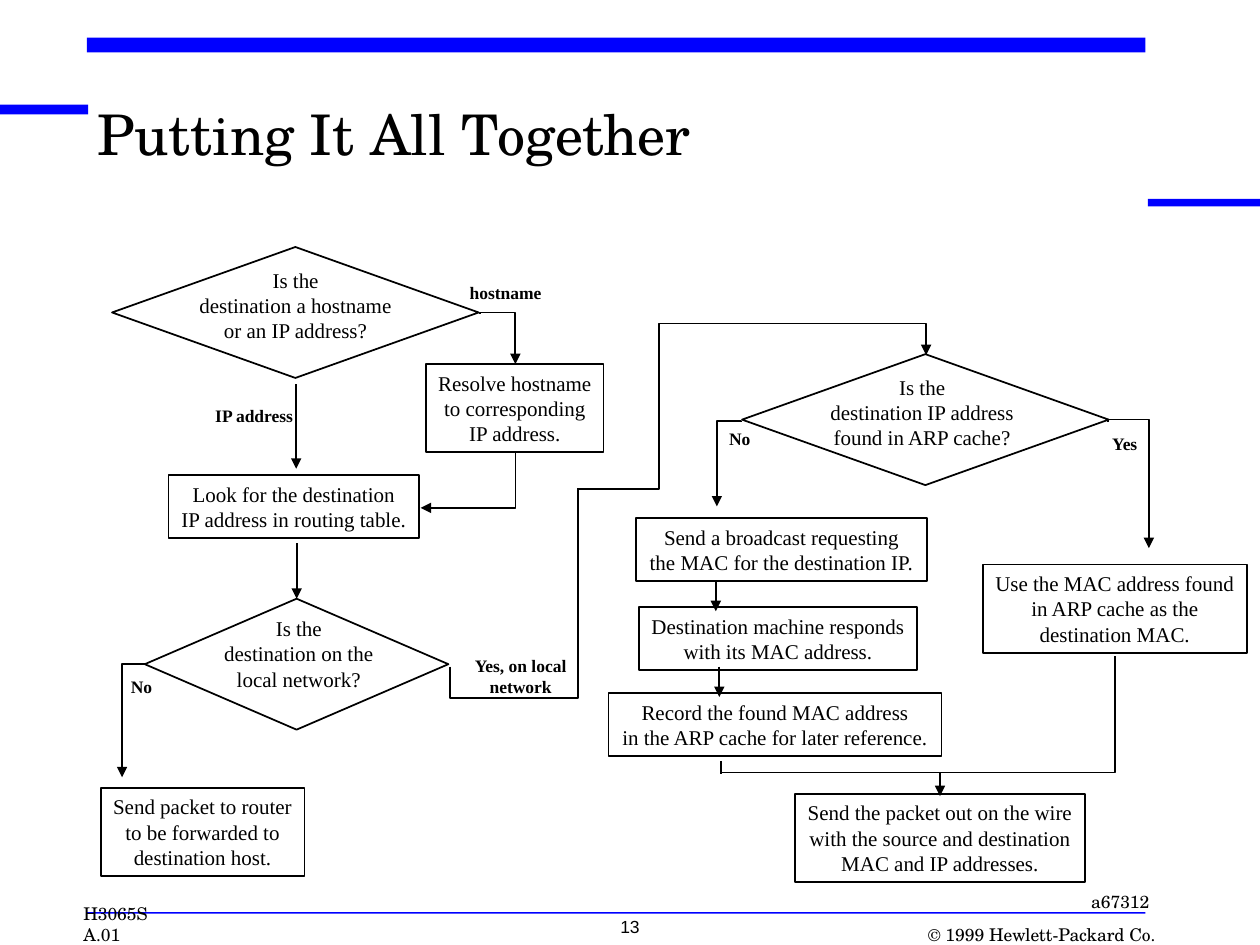
from dataclasses import dataclass

from lxml.etree import SubElement
from pptx import Presentation
from pptx.dml.color import RGBColor
from pptx.enum.shapes import MSO_CONNECTOR as Link, MSO_SHAPE as Kind
from pptx.enum.text import MSO_ANCHOR as Anchor, MSO_AUTO_SIZE as Fit, PP_ALIGN as Align
from pptx.oxml.ns import qn
from pptx.util import Cm, Pt


@dataclass(frozen=True)
class Theme:
    ink: RGBColor = RGBColor(0, 0, 0)
    bar: RGBColor = RGBColor(0, 0, 255)
    serif: str = "Times New Roman"
    school: str = "TeX Gyre Schola"
    sans: str = "Arial"
    head: int = 32
    body: int = 12
    small: int = 10
    line: int = 1


THEME = Theme()

BARS = [
    (0, 2.11, 1.78, 0.2),
    (1.75, 0.76, 21.34, 0.3),
    (23.14, 4.01, 2.26, 0.15),
    (1.75, 18.39, 21.34, 0.03),
]

STEPS = [
    ((3.4, 9.58, 5.05, 1.27), "Look for the destination\nIP address in routing table."),
    ((8.59, 7.34, 3.58, 1.78), "Resolve hostname\nto corresponding\nIP address."),
    ((12.82, 10.44, 5.87, 1.27), "Send a broadcast requesting\nthe MAC for the destination IP."),
    ((12.88, 12.24, 5.61, 1.27), "Destination machine responds\nwith its MAC address."),
    ((12.27, 13.97, 6.71, 1.27), "Record the found MAC address\nin the ARP cache for later reference."),
    ((19.81, 11.38, 5.33, 1.78), "Use the MAC address found\nin ARP cache as the\ndestination MAC."),
    ((16.03, 16, 5.84, 1.78), "Send the packet out on the wire\nwith the source and destination\nMAC and IP addresses."),
    ((2.03, 15.88, 4.11, 1.78), "Send packet to router\nto be forwarded to\ndestination host."),
]

# Diamond, its text box, its question
TESTS = [
    ((2.26, 4.98, 7.39, 2.64), (3.71, 5.26, 4.5, 1.78),
     "Is the\ndestination a hostname\nor an IP address?"),
    ((14.96, 7.14, 7.39, 2.64), (16.48, 7.42, 4.22, 1.78),
     "Is the\ndestination IP address\nfound in ARP cache?"),
    ((2.92, 12.07, 6.12, 2.64), (4.22, 12.29, 3.61, 1.78),
     "Is the\ndestination on the\nlocal network?"),
]

LABELS = [
    ((4.09, 8.03, 2.08, 0.69), "IP address", Align.LEFT),
    ((9.22, 5.56, 1.96, 0.69), "hostname", Align.LEFT),
    ((9.3, 13.08, 2.39, 1.12), "Yes, on local\nnetwork", Align.CENTER),
    ((2.39, 13.51, 0.94, 0.69), "No", Align.LEFT),
    ((14.45, 8.51, 0.94, 0.69), "No", Align.LEFT),
    ((22.17, 8.61, 1.04, 0.69), "Yes", Align.LEFT),
]

# Start, end, arrowhead
LINES = [
    ((5.97, 7.75), (5.97, 9.45), True),
    ((14.43, 11.71), (14.43, 12.32), True),
    ((14.5, 13.44), (14.5, 14.05), True),
    ((19, 15.57), (14.53, 15.57), False),
    ((14.53, 15.34), (14.53, 15.6), False),
]

# Start, end, turn in degrees, flips, bends, arrowhead
BENDS = [
    ((9.68, 6.32), (10.39, 7.34), 270, "h", [-0.017], True),
    ((10.39, 9.14), (8.48, 10.24), 90, "", [], True),
    ((11.66, 9.86), (18.67, 7.16), 0, "v", [0.232, 1.237], True),
    ((9.07, 13.44), (11.66, 9.83), 90, "hv", [-0.175], False),
    ((14.94, 8.51), (14.45, 10.21), 90, "", [-0.015], True),
    ((22.33, 8.51), (23.16, 11.05), 270, "h", [-0.021], True),
    ((22.48, 13.23), (18.95, 16.05), 90, "", [0.831], True),
    ((2.92, 13.39), (2.46, 15.67), 180, "v", [], True),
]


def write(frame, text, size, font, align, bold=False):
    frame.text = text
    for para in frame.paragraphs:
        para.alignment = align
        for run in para.runs:
            run.font.size = Pt(size)
            run.font.name = font
            run.font.bold = bold
            run.font.color.rgb = THEME.ink


def add_shape(slide, kind, box):
    """Add an outlined shape without fill."""
    shape = slide.shapes.add_shape(kind, *map(Cm, box))
    shape.shadow.inherit = False
    shape.fill.background()
    shape.line.color.rgb = THEME.ink
    shape.line.width = Pt(THEME.line)
    return shape


def add_bar(slide, box):
    bar = add_shape(slide, Kind.RECTANGLE, box)
    bar.fill.solid()
    bar.fill.fore_color.rgb = THEME.bar
    bar.line.fill.background()


def add_step(slide, box, text):
    frame = add_shape(slide, Kind.RECTANGLE, box).text_frame
    frame.word_wrap = False
    frame.vertical_anchor = Anchor.TOP
    write(frame, text, THEME.body, THEME.serif, Align.CENTER)


def add_text(slide, box, text, size, font, align, bold=False, wrap=False):
    frame = slide.shapes.add_textbox(*map(Cm, box)).text_frame
    frame.word_wrap = wrap
    write(frame, text, size, font, align, bold)
    return frame


def add_foot(slide, box, text, align, wrap):
    frame = add_text(slide, box, text, THEME.small, THEME.school, align, wrap=wrap)
    frame.vertical_anchor = Anchor.BOTTOM
    frame.margin_left = frame.margin_right = frame.margin_top = frame.margin_bottom = 0


def add_title(slide, text):
    title = slide.shapes.title
    title.left, title.top, title.width, title.height = map(Cm, (1.96, 2.21, 20.5, 1.7))
    frame = title.text_frame
    frame.margin_left = frame.margin_right = frame.margin_top = frame.margin_bottom = 0
    frame.vertical_anchor = Anchor.TOP
    frame.auto_size = Fit.NONE
    write(frame, text, THEME.head, THEME.school, Align.LEFT)
    frame.paragraphs[0].line_spacing = 0.85


def add_line(slide, start, end, arrow, kind=Link.STRAIGHT):
    line = slide.shapes.add_connector(kind, *map(Cm, (*start, *end)))
    line.line.color.rgb = THEME.ink
    line.line.width = Pt(THEME.line)
    props = line._element.spPr
    if arrow:
        SubElement(props.find(qn("a:ln")), qn("a:tailEnd"), type="triangle")
    SubElement(props, qn("a:effectLst"))
    return line


def add_bend(slide, start, end, turn, flips, bends, arrow):
    """Add an elbow connector: its box is laid out unturned, then rotated."""
    (x1, y1), (x2, y2) = start, end
    wide, high = abs(x2 - x1), abs(y2 - y1)
    if turn % 180:
        wide, high = high, wide
    dx = wide / 2 * (-1 if "h" in flips else 1)
    dy = high / 2 * (-1 if "v" in flips else 1)
    mx, my = (x1 + x2) / 2, (y1 + y2) / 2
    line = add_line(slide, (mx - dx, my - dy), (mx + dx, my + dy), arrow, Link.ELBOW)
    props = line._element.spPr
    props.find(qn("a:xfrm")).set("rot", str(turn * 60000))
    geom = props.find(qn("a:prstGeom"))
    geom.set("prst", f"bentConnector{len(bends) + 2}")
    for num, bend in enumerate(bends, 1):
        SubElement(geom.find(qn("a:avLst")), qn("a:gd"),
                   name=f"adj{num}", fmla=f"val {round(bend * 100000)}")


def main():
    deck = Presentation()
    deck.slide_width, deck.slide_height = Cm(25.4), Cm(19.05)
    slide = deck.slides.add_slide(deck.slide_layouts[5])
    for box in BARS:
        add_bar(slide, box)
    add_foot(slide, (18.67, 18.62, 4.62, 0.43), "© 1999 Hewlett-Packard Co.", Align.RIGHT, False)
    add_foot(slide, (1.68, 18.62, 2.08, 0.43), "H3065S A.01", Align.LEFT, True)
    add_title(slide, "Putting It All Together")
    add_text(slide, (21.72, 17.83, 1.7, 0.69), "a67312", THEME.small, THEME.school, Align.RIGHT)
    add_text(slide, (10.06, 18.34, 5.28, 0.84), "13", THEME.small, THEME.sans, Align.CENTER, wrap=True)

    for box, text in STEPS:
        add_step(slide, box, text)
    for box, inner, text in TESTS:
        test = add_shape(slide, Kind.FLOWCHART_DECISION, box)
        add_text(slide, inner, text, THEME.body, THEME.serif, Align.CENTER)
    for box, text, align in LABELS:
        add_text(slide, box, text, THEME.small, THEME.serif, align, bold=True)

    for start, end, arrow in LINES:
        add_line(slide, start, end, arrow)
    add_line(slide, (5.98, 10.95), (5.98, 12.07), True).end_connect(test, 0)
    for bend in BENDS:
        add_bend(slide, *bend)
    deck.save("out.pptx")


if __name__ == "__main__":
    main()
